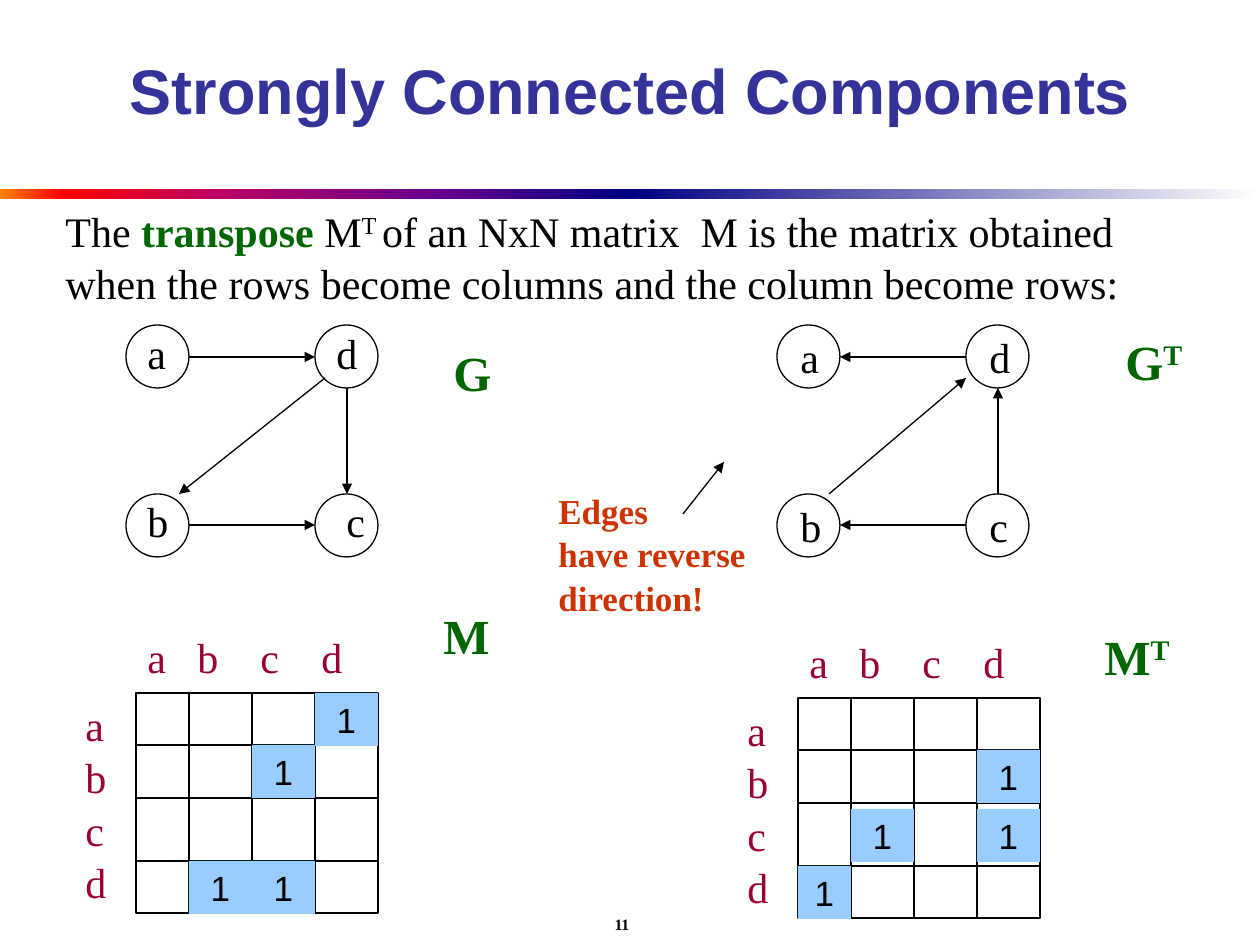
"""Builds a slide on transposing a graph and its matrix."""
from dataclasses import dataclass
from itertools import accumulate
from typing import Any, NamedTuple

from lxml.etree import SubElement as Sub
from pptx import Presentation as Deck
from pptx.dml.color import RGBColor as RGB
from pptx.enum.shapes import MSO_CONNECTOR as Link, MSO_SHAPE as Form
from pptx.enum.text import MSO_ANCHOR as Anchor, PP_ALIGN as Align
from pptx.oxml.ns import qn
from pptx.util import Emu, Pt

SCALE = 914400 / 126


@dataclass(frozen=True)
class Theme:
    """Colours, fonts and sizes."""
    ink: str = "000000"
    navy: str = "333399"
    green: str = "006600"
    wine: str = "990033"
    rust: str = "CC3300"
    sky: str = "99CCFF"
    serif: str = "Times New Roman"
    sans: str = "Arial"
    title: int = 36
    mark: int = 28
    body: int = 24
    note: int = 20
    page: int = 9
    line: float = 0.75
    warm: tuple = ((0, "FF8200"), (10, "FF0000"), (35, "BA0066"), (70, "66008F"), (100, "000082"))
    cool: tuple = ((0, "000082"), (100, "FFFFFF"))


class Box(NamedTuple):
    """Left, top, width and height in pixels."""
    x: int
    y: int
    w: int
    h: int


class Run(NamedTuple):
    """A piece of text with its format."""
    text: str
    size: int
    tint: str
    bold: bool = False
    face: str = Theme.serif
    high: bool = False


class Graph(NamedTuple):
    """Left edge, letter places and arrows of a graph."""
    x: int
    names: dict
    edges: tuple


class Grid(NamedTuple):
    """Corner of a matrix and its ones as row, column, drop."""
    x: int
    y: int
    ones: tuple


def px(*vals: float) -> list:
    """Turns pixels into EMU."""
    return [Emu(round(v * SCALE)) for v in vals]


def apply(item: Any, **form: Any) -> None:
    """Sets each format value on an item."""
    for key, val in form.items():
        setattr(item, key, val)


def write(frame: Any, lines: list, align: Any = Align.LEFT, **form: Any) -> None:
    """Fills a text frame with lines of runs."""
    apply(frame, **form)
    for num, line in enumerate(lines):
        para = frame.add_paragraph() if num else frame.paragraphs[0]
        apply(para, alignment=align, space_before=Pt(0.05 * line[0].size if num else 0))
        for run in line:
            part = para.add_run()
            part.text = run.text
            apply(part.font, name=run.face, size=Pt(run.size), bold=run.bold)
            part.font.color.rgb = RGB.from_string(run.tint)
            if run.high:
                part.font._element.set("baseline", "30000")


def label(slide: Any, box: Box, lines: list, align: Any = Align.LEFT, **form: Any) -> Any:
    """Adds a text box."""
    shape = slide.shapes.add_textbox(*px(*box))
    write(shape.text_frame, lines, align, **{"word_wrap": False, **form})
    return shape


def shape(slide: Any, form: Any, box: Box, fill: str = "", edge: str = "") -> Any:
    """Adds a flat shape."""
    item = slide.shapes.add_shape(form, *px(*box))
    item.shadow.inherit = False
    for part, tint in ((item.fill, fill), (item.line.fill, edge)):
        if tint:
            part.solid()
            part.fore_color.rgb = RGB.from_string(tint)
        else:
            part.background()
    if edge:
        item.line.width = Pt(Theme.line)
    return item


def stroke(slide: Any, ends: tuple, head: bool = False) -> None:
    """Adds a line, with an arrowhead on demand."""
    item = slide.shapes.add_connector(Link.STRAIGHT, *px(*ends))
    item.line.width = Pt(Theme.line)
    item.line.color.rgb = RGB.from_string(Theme.ink)
    if head:
        Sub(item.line._get_or_add_ln(), qn("a:tailEnd"), type="triangle")
    Sub(item._element.spPr, qn("a:effectLst"))


def band(slide: Any, box: Box, stops: tuple) -> None:
    """Adds a bar that blends its colour stops."""
    item = shape(slide, Form.RECTANGLE, box)
    item.fill.gradient()
    item.fill.gradient_angle = 0
    ramp = item._element.spPr.find(".//" + qn("a:gsLst"))
    for old in list(ramp):
        ramp.remove(old)
    for pos, tint in stops:
        stop = Sub(ramp, qn("a:gs"), pos=str(pos * 1000))
        Sub(stop, qn("a:srgbClr"), val=tint)


def graph(slide: Any, net: Graph) -> None:
    """Draws nodes, arrows and letters."""
    for x in (net.x, net.x + 189):
        for y in (325, 494):
            shape(slide, Form.OVAL, Box(x, y, 63, 63), edge=Theme.ink)
    for ends in net.edges:
        stroke(slide, ends, True)
    for name, (x, y) in net.names.items():
        label(slide, Box(x, y, 46, 63), [[Run(name, Theme.body, Theme.ink)]])


def matrix(slide: Any, grid: Grid) -> None:
    """Draws a matrix with its letters and ones."""
    xs = list(accumulate((53, 63, 63, 63), initial=grid.x))
    ys = list(accumulate((52, 53, 63, 52), initial=grid.y))
    shape(slide, Form.RECTANGLE, Box(xs[0], ys[0], xs[4] - xs[0], ys[4] - ys[0]), edge=Theme.ink)
    for x in xs[1:4]:
        stroke(slide, (x, ys[0], x, ys[4]))
    for y in ys[1:4]:
        stroke(slide, (xs[0], y, xs[4], y))
    top = label(slide, Box(grid.x - 1, grid.y - 68, 221, 63),
                [[Run("a\tb\tc\td", Theme.body, Theme.wine)]], word_wrap=True)
    tabs = Sub(top.text_frame.paragraphs[0]._p.get_or_add_pPr(), qn("a:tabLst"))
    for pos in px(50, 113, 174):
        Sub(tabs, qn("a:tab"), pos=str(pos), algn="l")
    label(slide, Box(grid.x - 63, grid.y, 47, 214), [[Run(c, Theme.body, Theme.wine)] for c in "abcd"])
    for row, col, drop in grid.ones:
        cell = shape(slide, Form.RECTANGLE,
                     Box(xs[col], ys[row] + drop, xs[col + 1] - xs[col], 53), Theme.sky)
        write(cell.text_frame, [[Run("1", Theme.note, Theme.ink, face=Theme.sans)]], Align.CENTER,
              vertical_anchor=Anchor.MIDDLE, word_wrap=False)


GRAPHS = (
    Graph(126, {"a": (135, 321), "b": (135, 489), "c": (334, 489), "d": (324, 321)},
          ((189, 357, 315, 357), (325, 378, 179, 494), (189, 525, 315, 525), (347, 388, 347, 494))),
    Graph(777, {"a": (788, 325), "b": (788, 494), "c": (977, 494), "d": (977, 325)},
          ((966, 357, 840, 357), (998, 494, 998, 388), (966, 525, 840, 525), (829, 494, 966, 378))),
)
GRIDS = (Grid(136, 693, ((0, 3, 0), (3, 1, 0), (3, 2, 0), (1, 2, 0))),
         Grid(798, 698, ((3, 0, 0), (1, 3, 0), (2, 3, 6), (2, 1, 6))))
MARKS = (("M", "", Box(431, 599, 72, 71)), ("M", "T", Box(1092, 620, 93, 71)),
         ("G", "T", Box(1113, 325, 86, 71)), ("G", "", Box(441, 336, 63, 71)))


def main() -> None:
    """Builds and saves the slide."""
    deck = Deck()
    apply(deck, slide_width=px(1260)[0], slide_height=px(945)[0])
    slide = deck.slides.add_slide(deck.slide_layouts[5])
    title = slide.shapes.title
    apply(title, **dict(zip(("left", "top", "width", "height"), px(95, 10, 1071, 158))))
    write(title.text_frame, [[Run("Strongly Connected Components", Theme.title, Theme.navy, True, Theme.sans)]],
          Align.CENTER, vertical_anchor=Anchor.MIDDLE, word_wrap=True)
    for x, stops in ((0, Theme.warm), (630, Theme.cool)):
        band(slide, Box(x, 189, 630, 10), stops)
    label(slide, Box(55, 903, 1134, 42), [[Run("11", Theme.page, Theme.ink, True)]], Align.CENTER,
          vertical_anchor=Anchor.MIDDLE, word_wrap=True)
    size, ink = Theme.body, Theme.ink
    label(slide, Box(53, 199, 1087, 113), [
        [Run("The ", size, ink), Run("transpose", size, Theme.green, True), Run(" M", size, ink),
         Run("T ", size, ink, high=True), Run("of an NxN matrix  M is the matrix obtained ", size, ink)],
        [Run("when the rows become columns and the column become rows:", size, ink)]])
    for net in GRAPHS:
        graph(slide, net)
    for grid in GRIDS:
        matrix(slide, grid)
    for base, sup, box in MARKS:
        runs = [Run(base, Theme.mark, Theme.green, True), Run(sup, Theme.mark, Theme.green, True, high=True)]
        label(slide, box, [[run for run in runs if run.text]])
    stroke(slide, (683, 514, 724, 462), True)
    label(slide, Box(546, 483, 213, 139), [[Run(text, Theme.note, Theme.rust, True)]
                                           for text in ("Edges", "have reverse", "direction!")])
    deck.save("out.pptx")


main()
